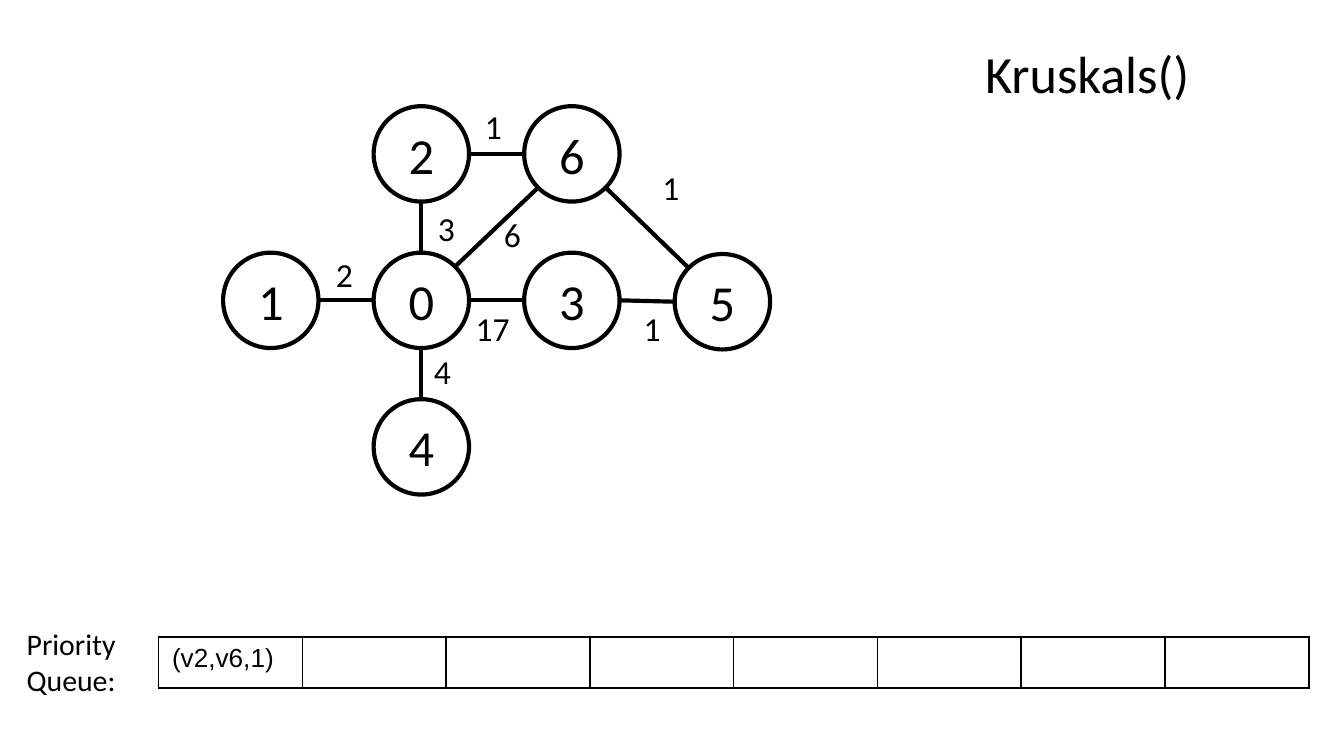
from math import hypot

from lxml.etree import SubElement
from pptx import Presentation
from pptx.dml.color import RGBColor
from pptx.enum.shapes import MSO_CONNECTOR, MSO_SHAPE
from pptx.enum.text import MSO_ANCHOR, PP_ALIGN
from pptx.oxml import parse_xml
from pptx.oxml.ns import nsdecls, qn
from pptx.util import Inches, Pt

BLACK = "000000"
DIAMETER = 0.71
PITCH = 1.1
NODES = {
    0: (2.78, 1.88), 1: (1.66, 1.88), 2: (2.78, 0.79), 3: (3.9, 1.88),
    4: (2.78, 2.97), 5: (5.02, 1.89), 6: (3.9, 0.79),
}
EDGES = [
    (1, 0, "2", 2.4, 1.84),
    (0, 2, "3", 3.16, 1.5),
    (0, 4, "4", 3.13, 2.56),
    (2, 6, "1", 3.51, 0.74),
    (5, 6, "1", 4.83, 1.19),
    (3, 5, "1", 4.69, 2.24),
    (0, 3, "17", 3.44, 2.24),
    (0, 6, "6", 3.65, 1.54),
]
QUEUE = ["(v2,v6,1)", "", "", "", "", "", "", ""]
CELL_WIDTH, CELL_HEIGHT = 1.07, 0.38


def color(value):
    return RGBColor.from_string(value)


def place(s, left, top, width, height):
    s.left, s.top = Inches(left), Inches(top)
    s.width, s.height = Inches(width), Inches(height)


def write(tf, text, size, font="Calibri", align=PP_ALIGN.LEFT, anchor=MSO_ANCHOR.TOP):
    tf.word_wrap = True
    tf.vertical_anchor = anchor
    p = tf.paragraphs[0]
    p.alignment = align
    r = p.add_run()
    r.text = text
    r.font.size, r.font.name = Pt(size), font
    r.font.color.rgb = color(BLACK)


def add_label(slide, text, size, left, top, width, height):
    box = slide.shapes.add_textbox(*map(Inches, (left, top, width, height)))
    write(box.text_frame, text, size)


def add_node(slide, name, left, top):
    s = slide.shapes.add_shape(
        MSO_SHAPE.OVAL, *map(Inches, (left, top, DIAMETER, DIAMETER)))
    s.shadow.inherit = False
    s.fill.background()
    s.line.color.rgb = color(BLACK)
    s.line.width = Pt(2.25)
    tf = s.text_frame
    tf.margin_left = tf.margin_right = Inches(0.07)
    tf.margin_top = tf.margin_bottom = Inches(0.04)
    write(tf, str(name), 27, align=PP_ALIGN.CENTER, anchor=MSO_ANCHOR.MIDDLE)


def rim_point(node, other):
    """Return the point on a node's rim, in steps of 45 degrees, facing another node."""
    steps = [round((b - a) / PITCH) for a, b in zip(NODES[node], NODES[other])]
    signs = [(d > 0) - (d < 0) for d in steps]
    radius = DIAMETER / 2
    return [Inches(corner + radius + radius * sign / hypot(*signs))
            for corner, sign in zip(NODES[node], signs)]


def add_edge(slide, start, end):
    line = slide.shapes.add_connector(
        MSO_CONNECTOR.STRAIGHT, *rim_point(start, end), *rim_point(end, start))
    line.line.color.rgb = color(BLACK)
    line.line.width = Pt(2.25)
    SubElement(line._element.spPr, qn("a:effectLst"))


def add_borders(cell):
    tc_pr = cell._tc.get_or_add_tcPr()
    for i, side in enumerate("LRTB"):
        tc_pr.insert(i, parse_xml(
            f'<a:ln{side} {nsdecls("a")} w="12700"><a:solidFill>'
            f'<a:srgbClr val="{BLACK}"/></a:solidFill></a:ln{side}>'))


def add_queue(slide, left, top):
    width = CELL_WIDTH * len(QUEUE)
    table = slide.shapes.add_table(
        1, len(QUEUE), *map(Inches, (left, top, width, CELL_HEIGHT))).table
    table.first_row = table.horz_banding = False
    for column, cell, text in zip(table.columns, table.rows[0].cells, QUEUE):
        column.width = Inches(CELL_WIDTH)
        cell.fill.background()
        add_borders(cell)
        if text:
            write(cell.text_frame, text, 14, "Arial")
        else:
            cell.text_frame.paragraphs[0].font.size = Pt(14)


def main():
    prs = Presentation()
    prs.slide_width, prs.slide_height = Inches(10), Inches(10 * 9 / 16)
    slide = prs.slides.add_slide(prs.slide_layouts[5])
    title = slide.shapes.title
    place(title, 7.23, 0.26, 2.65, 0.57)
    write(title.text_frame, "Kruskals()", 28)
    for name, corner in NODES.items():
        add_node(slide, name, *corner)
    for start, end, weight, left, top in EDGES:
        add_edge(slide, start, end)
        add_label(slide, weight, 18, left, top, 0.12 + 0.17 * len(weight), 0.4)
    add_queue(slide, 1.18, 4.74)
    add_label(slide, "Priority Queue:", 16, 0.1, 4.61, 1.52, 0.64)
    prs.save("out.pptx")


if __name__ == "__main__":
    main()
